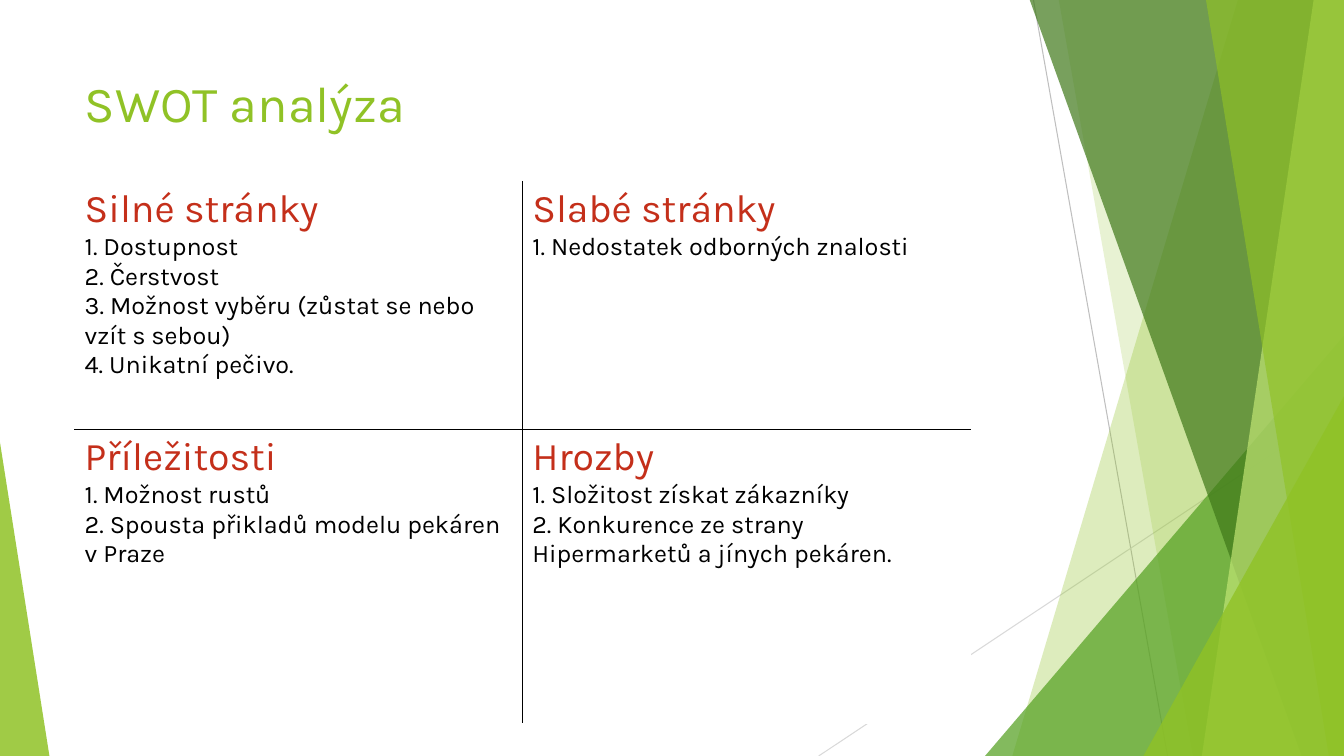
"""Build the SWOT analysis slide with its green facet border."""
import pptx
import pptx.util
import pptx.dml.color
import pptx.enum.shapes
import pptx.enum.text
import pptx.oxml
import pptx.oxml.ns
import lxml.etree

Inches = pptx.util.Inches
Pt = pptx.util.Pt
Rgb = pptx.dml.color.RGBColor.from_string
ns = pptx.oxml.ns
hues = {"lime": "90C226", "leaf": "54A021", "pine": "3F7819", "pale": "C0E474",
        "red": "C42F1A", "black": "000000", "white": "FFFFFF",
        "gray": "BFBFBF", "light": "D9D9D9"}


def paint(shape, hue, alpha):
    """Fill a shape with a see-through colour and no outline."""
    shape.shadow.inherit = False
    shape.line.fill.background()
    shape.fill.solid()
    shape.fill.fore_color.rgb = Rgb(hues[hue])
    tint = shape.fill._xPr.find(".//" + ns.qn("a:srgbClr"))
    lxml.etree.SubElement(tint, ns.qn("a:alpha")).set("val", str(alpha * 1000))


def write(para, text, size, hue):
    """Put one formatted run in a paragraph."""
    run = para.add_run()
    run.text = text
    for key, val in {"name": "Karla", "size": Pt(size), "bold": False}.items():
        setattr(run.font, key, val)
    run.font.color.rgb = Rgb(hues[hue])


deck = pptx.Presentation()
deck.slide_width, deck.slide_height = Inches(13.33), Inches(7.5)
slide = deck.slides.add_slide(deck.slide_layouts[5])
shapes = slide.shapes

for x1, y1, x2, y2, hue in [(10.25, 0, 11.58, 7.5, "gray"),
                            (13.33, 4.03, 8.12, 7.5, "light")]:
    line = shapes.add_connector(pptx.enum.shapes.MSO_CONNECTOR.STRAIGHT,
                                Inches(x1), Inches(y1), Inches(x2), Inches(y2))
    line.line.width = Pt(0.75)
    line.line.color.rgb = Rgb(hues[hue])
    lxml.etree.SubElement(line._element.spPr, ns.qn("a:effectLst"))

facets = [
    ("band", 12.28, 10.04, "lime", 30),
    ("band", 10.5, 11.83, "lime", 20),
    ("peak", (9.77, 3.33, 3.56, 4.17), 1, "leaf", 72),
    ("band", 10.21, 12.91, "pine", 70),
    ("band", 13.03, 11.92, "pale", 70),
    ("band", 11.96, 13.18, "lime", 65),
    ("peak", (11.34, 3.93, 1.99, 3.57), 1, "lime", 80),
    ("peak", (0, 4.39, 0.49, 3.11), 0, "lime", 85),
]
for kind, place, foot, hue, alpha in facets:
    if kind == "band":
        pen = shapes.build_freeform(Inches(place), Inches(-0.01))
        pen.add_line_segments([(Inches(x), Inches(y)) for x, y in
                               [(13.33, -0.01), (13.33, 7.5), (foot, 7.5)]])
        facet = pen.convert_to_shape()
    else:
        facet = shapes.add_shape(pptx.enum.shapes.MSO_SHAPE.ISOSCELES_TRIANGLE,
                                 *[Inches(v) for v in place])
        facet.adjustments[0] = foot
    paint(facet, hue, alpha)

title = shapes.title
for key, val in {"left": 0.74, "top": 0.67, "width": 9.4, "height": 0.91}.items():
    setattr(title, key, Inches(val))
frame = title.text_frame
for key, val in {"vertical_anchor": pptx.enum.text.MSO_ANCHOR.TOP, "word_wrap": True,
                 "auto_size": pptx.enum.text.MSO_AUTO_SIZE.NONE}.items():
    setattr(frame, key, val)
frame.paragraphs[0].alignment = pptx.enum.text.PP_ALIGN.LEFT
write(frame.paragraphs[0], "SWOT analýza", 36, "lime")

swot = [
    [("Silné stránky", "1. Dostupnost", "2. Čerstvost",
      "3. Možnost vyběru (zůstat se nebo vzít s sebou)", "4. Unikatní pečivo."),
     ("Slabé stránky", "1. Nedostatek odborných znalosti")],
    [("Příležitosti", "1. Možnost rustů",
      "2. Spousta přikladů modelu pekáren v Praze"),
     ("Hrozby", "1. Složitost získat zákazníky",
      "2. Konkurence ze strany Hipermarketů a jínych pekáren.")],
]
table = shapes.add_table(2, 2, Inches(0.74), Inches(1.8), Inches(8.88), Inches(5.38)).table
table.first_row = table.horz_banding = False
for row, high in zip(table.rows, (2.46, 2.92)):
    row.height = Inches(high)
for r, row in enumerate(swot):
    for c, texts in enumerate(row):
        cell = table.cell(r, c)
        cell.fill.solid()
        cell.fill.fore_color.rgb = Rgb(hues["white"])
        for n, text in enumerate(texts):
            body = cell.text_frame
            para = body.add_paragraph() if n else body.paragraphs[0]
            write(para, text, 18 if n else 28, "black" if n else "red")
        inner = {"L": c == 1, "R": c == 0, "T": r == 1, "B": r == 0}
        for n, (side, dark) in enumerate(inner.items()):
            hue = hues["black" if dark else "white"]
            edge = pptx.oxml.parse_xml(
                f'<a:ln{side} {ns.nsdecls("a")} w="12700"><a:solidFill>'
                f'<a:srgbClr val="{hue}"/></a:solidFill></a:ln{side}>')
            cell._tc.get_or_add_tcPr().insert(n, edge)

deck.save("out.pptx")
